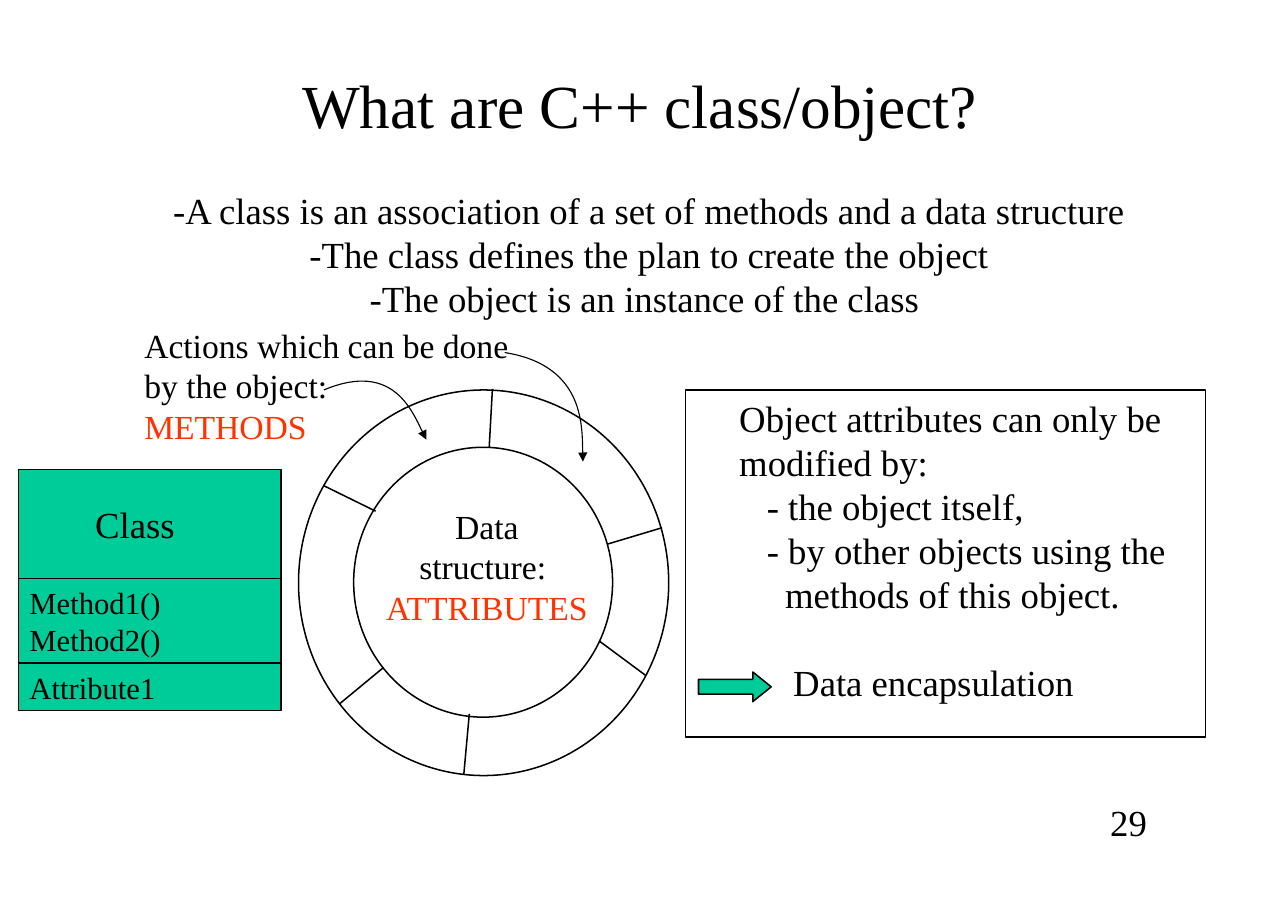
"""Build the slide that explains C++ classes and objects."""
from lxml import etree
from pptx import Presentation
from pptx.dml.color import RGBColor
from pptx.enum.shapes import MSO_CONNECTOR, MSO_SHAPE as SHAPE
from pptx.enum.text import MSO_ANCHOR as ANCHOR, PP_ALIGN as ALIGN
from pptx.oxml.ns import qn
from pptx.util import Pt

COLORS = {"black": "000000", "red": "FF3300", "green": "00CC99"}
FONT = "Times New Roman"

prs = Presentation()
prs.slide_width, prs.slide_height = Pt(841.7), Pt(595.4)
s = prs.slides.add_slide(prs.slide_layouts[6])


def write(sp, lines, size, align=ALIGN.LEFT, insets=(0, 0), anchor=ANCHOR.TOP):
    """Fill a shape with (text, colour, indent, space before) lines."""
    tf = sp.text_frame
    tf.word_wrap = True
    tf.vertical_anchor = anchor
    tf.margin_left, tf.margin_top = Pt(insets[0]), Pt(insets[1])
    tf.margin_right = tf.margin_bottom = 0
    for i, (text, color, indent, before) in enumerate(lines):
        p = tf.add_paragraph() if i else tf.paragraphs[0]
        p.alignment = align
        p.line_spacing = Pt(size * 1.2)
        p.space_before = Pt(before)
        p._p.get_or_add_pPr().set("marL", str(Pt(indent)))
        r = p.add_run()
        r.text = text
        r.font.name, r.font.size = FONT, Pt(size)
        r.font.color.rgb = RGBColor.from_string(COLORS[color])


def add_outlined(kind, box, fill=None, width=1):
    """Add a black-outlined preset shape."""
    sp = s.shapes.add_shape(kind, *map(Pt, box))
    sp.shadow.inherit = False
    sp.line.color.rgb = RGBColor.from_string(COLORS["black"])
    sp.line.width = Pt(width)
    if fill:
        sp.fill.solid()
        sp.fill.fore_color.rgb = RGBColor.from_string(COLORS[fill])
    else:
        sp.fill.background()
    return sp


for ring in [(231.1, 292.3, 169.2, 176.4), (195.1, 254.9, 241.9, 252)]:
    add_outlined(SHAPE.OVAL, ring)

spokes = [
    (396.7, 355.7, 432.7, 344.9), (319.7, 292.3, 321.8, 254.2),
    (303.1, 506.2, 306.7, 466.6), (391.7, 419, 421.9, 441.4),
    (221.8, 460.1, 250.6, 436.3), (211.7, 317.5, 245.5, 334.1),
]
for spoke in spokes:
    line = s.shapes.add_connector(MSO_CONNECTOR.STRAIGHT, *map(Pt, spoke))
    line.line.color.rgb = RGBColor.from_string(COLORS["black"])
    line.line.width = Pt(1)
    etree.SubElement(line._element.spPr, qn("a:effectLst"))

frame = add_outlined(SHAPE.RECTANGLE, (447.8, 254.9, 339.8, 226.8), width=0)
write(frame, [
    ("Object attributes can only be modified by:", "black", 0, 0),
    ("- the object itself,", "black", 18, 0),
    ("- by other objects using the", "black", 18, 0),
    ("methods of this object.", "black", 30, 0),
    ("Data encapsulation", "black", 35.3, 28.8),
], 24, insets=(35.3, 3.6))

arrow = add_outlined(SHAPE.RIGHT_ARROW, (456.5, 439.2, 47.5, 19.4), "green")
arrow.adjustments[0], arrow.adjustments[1] = 0.5, 0.62

class_parts = [
    (71.3, ["Class"], 24, 50),
    (55.4, ["Method1()", "Method2()"], 20, 7.2),
    (31, ["Attribute1"], 20, 7.2),
]
top = 306.7
for height, names, size, inset in class_parts:
    sp = add_outlined(SHAPE.RECTANGLE, (12.2, top, 171.4, height), "green")
    write(sp, [(name, "black", 0, 0) for name in names], size,
          insets=(inset, 0), anchor=ANCHOR.MIDDLE)
    top += height

texts = [
    ((88.6, 44.2, 659, 48), 40, ALIGN.CENTER, [("What are C++ class/object?", "black")]),
    ((88.6, 122.8, 671, 86.4), 24, ALIGN.CENTER, [
        ("-A class is an association of a set of methods and a data structure", "black"),
        ("-The class defines the plan to create the object", "black"),
        ("-The object is an instance of the class ", "black")]),
    ((244.1, 330.5, 148.3, 79.2), 22, ALIGN.CENTER, [
        ("Data", "black"), ("structure: ", "black"), ("ATTRIBUTES", "red")]),
    ((94.3, 212.4, 260, 79.2), 22, ALIGN.LEFT, [
        ("Actions which can be done", "black"), ("by the object:", "black"),
        ("METHODS", "red")]),
    ((697, 522.7, 52.5, 28.8), 24, ALIGN.RIGHT, [("29", "black")]),
]
for box, size, align, lines in texts:
    sp = s.shapes.add_textbox(*map(Pt, box))
    write(sp, [(text, color, 0, 0) for text, color in lines], size, align)

curves = [
    [(211.7, 254.9), (257.8, 235.4), (278.6, 287.3), (278.6, 287.3)],
    [(329.8, 230.4), (383.8, 239), (380.9, 301.7), (380.9, 301.7)],
]
for start, *controls in curves:
    builder = s.shapes.build_freeform(Pt(start[0]), Pt(start[1]))
    builder.add_line_segments([(Pt(x), Pt(y)) for x, y in controls], close=False)
    sp = builder.convert_to_shape()
    sp.shadow.inherit = False
    sp.fill.background()
    sp.line.color.rgb = RGBColor.from_string(COLORS["black"])
    sp.line.width = Pt(0)
    outline = sp._element.find(".//" + qn("a:path"))
    bezier = etree.SubElement(outline, qn("a:cubicBezTo"))
    for segment in outline.findall(qn("a:lnTo")):
        bezier.append(segment[0])
        outline.remove(segment)
    etree.SubElement(sp.line._get_or_add_ln(), qn("a:tailEnd"), type="triangle")

prs.save("out.pptx")
